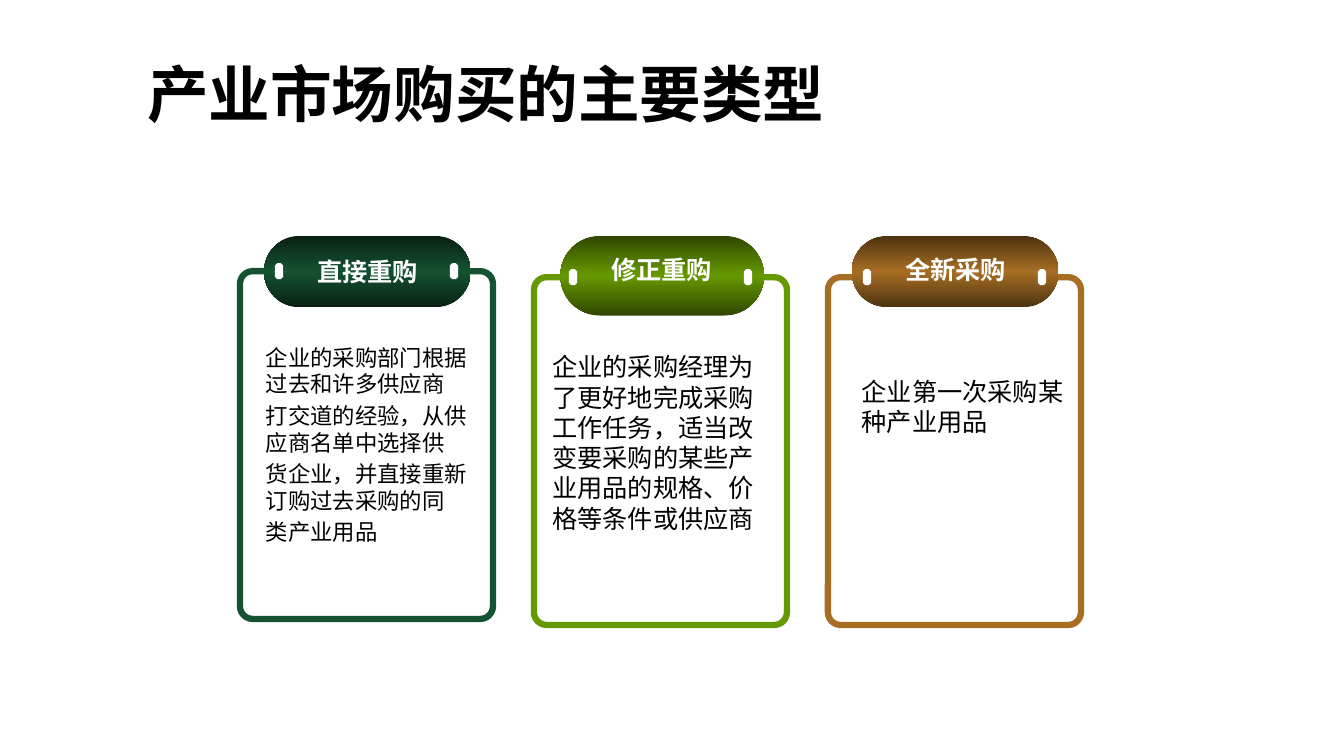
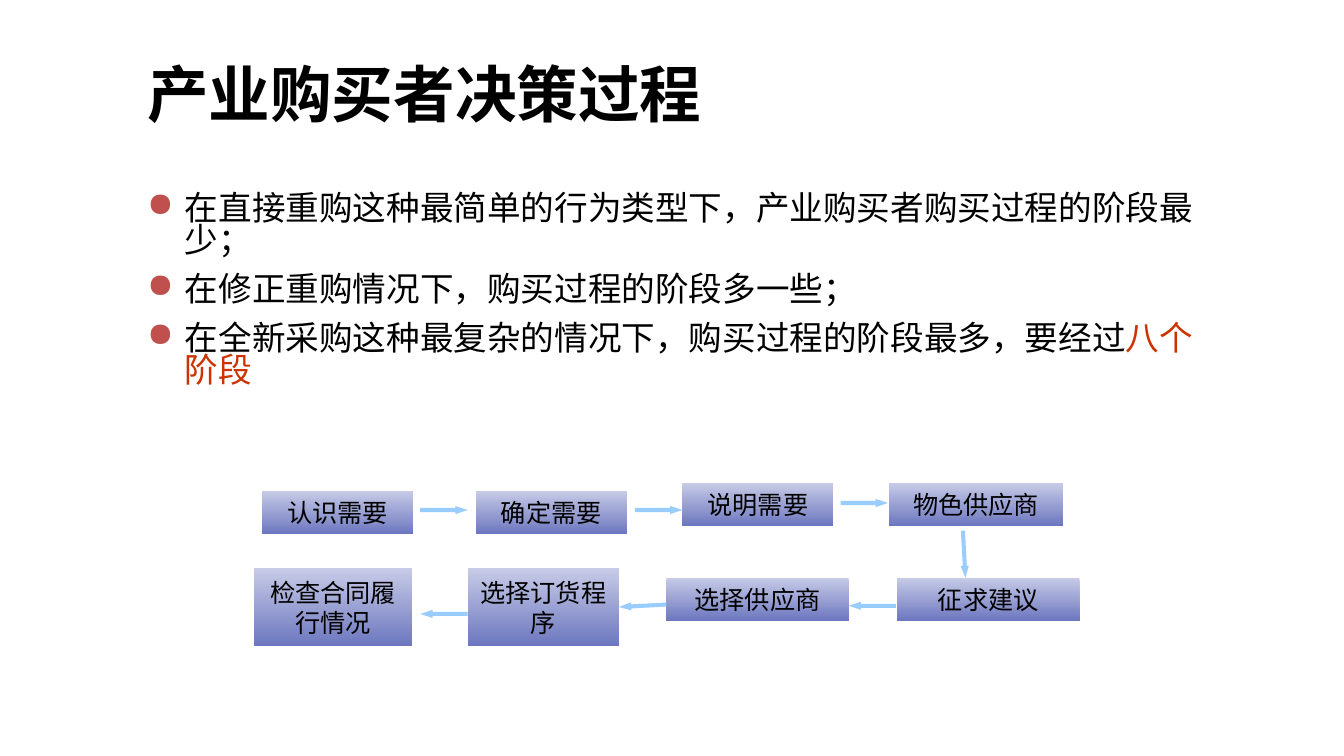
"""Build two slides on the types and stages of industrial purchasing."""
from lxml import etree
from pptx import Presentation
from pptx.dml.color import RGBColor
from pptx.enum import shapes, text
from pptx.oxml import ns
from pptx.util import Pt

COLORS = {
    "text": "000000", "white": "FFFFFF", "bullet": "C0504D", "accent": "CC3300",
    "arrow": "99CCFF", "step_top": "C7CBE7", "step_bottom": "6D77BF",
    "green": "145232", "green_dark": "082013",
    "lime": "669900", "lime_dark": "2F4700",
    "brown": "A76E23", "brown_dark": "4D3310",
}
BODY_FONT, TITLE_FONT = "Calibri", "Noto Sans CJK SC"
TITLE_BOX = (98, 21.6, 814, 90)

CARDS_TITLE = "产业市场购买的主要类型"
CARDS = [
    dict(name="直接重购", color="green", top=193.7, badge=(188.6, 147.6, 51), label_top=179.3,
         body=["企业的采购部门根据过去和许多供应商", "打交道的经验，从供应商名单中选择供",
               "货企业，并直接重新订购过去采购的同", "类产业用品"],
         body_box=(182.9, 241.9, 167.8, 176.4), size=16),
    dict(name="修正重购", color="lime", top=198, badge=(400.3, 145.4, 56.9), label_top=177.8,
         body=["企业的采购经理为了更好地完成采购工作任务，适当改变要采购的某些产业用品的规格、价格等条件或供应商"],
         body_box=(387.4, 247.7, 169.9, 162.7), size=18),
    dict(name="全新采购", color="brown", top=198, badge=(608.4, 147.6, 51), label_top=177.8,
         body=["企业第一次采购某种产业用品"],
         body_box=(608.4, 265, 167.8, 50.4), size=18),
]
CARD_LEFT, CARD_PITCH, CARD_WIDTH, CARD_HEIGHT = 171.4, 210, 180.7, 248.4
BADGE_TOP = 168.5
STUD_OFFSETS = (25, 150)

PROCESS_TITLE = "产业购买者决策过程"
BULLETS = [
    [("在直接重购这种最简单的行为类型下，产业购买者购买过程的阶段最少；", "text")],
    [("在修正重购情况下，购买过程的阶段多一些；", "text")],
    [("在全新采购这种最复杂的情况下，购买过程的阶段最多，要经过", "text"), ("八个阶段", "accent")],
]
BULLETS_BOX = (98, 135.4, 772.6, 152.6)
STEPS = [
    ("认识需要", (187.2, 350.6, 108, 31)),
    ("确定需要", (339.8, 350.6, 108, 31)),
    ("说明需要", (487.4, 344.9, 108, 31)),
    ("物色供应商", (635, 344.9, 124.6, 31)),
    ("征求建议", (640.8, 412.6, 130.3, 31)),
    ("选择供应商", (475.9, 412.6, 130.3, 31)),
    ("选择订货程序", (334.1, 406.1, 108, 55.4)),
    ("检查合同履行情况", (181.4, 406.1, 113, 55.4)),
]
ARROWS = [
    (300.2, 361.4, 0), (453.6, 361.4, 0), (600.5, 356.4, 0), (671.8, 393.1, 87),
    (606.2, 429.8, 180), (442.1, 429.8, 177), (300.2, 435.6, 180),
]
ARROW_SIZE = (33.8, 5.8)


def rgb(color):
    return RGBColor.from_string(COLORS[color])


def add_run(paragraph, words, size, color="text", font=BODY_FONT, bold=False):
    run = paragraph.add_run()
    run.text = words
    run.font.size = Pt(size)
    run.font.name = font
    run.font.bold = bold
    run.font.color.rgb = rgb(color)
    east_asian = etree.SubElement(run.font._element, ns.qn("a:ea"))
    east_asian.set("typeface", font)


def add_text_box(slide, box, wrap=True, anchor=text.MSO_ANCHOR.TOP):
    frame = slide.shapes.add_textbox(*map(Pt, box)).text_frame
    frame.word_wrap = wrap
    frame.vertical_anchor = anchor
    return frame


def add_paragraphs(frame, count):
    return [frame.paragraphs[0]] + [frame.add_paragraph() for _ in range(count - 1)]


def add_shape(slide, kind, box, fill=None, adjust=()):
    shape = slide.shapes.add_shape(kind, *map(Pt, box))
    shape.shadow.inherit = False
    shape.line.fill.background()
    if fill:
        shape.fill.solid()
        shape.fill.fore_color.rgb = rgb(fill)
    else:
        shape.fill.background()
    for index, value in enumerate(adjust):
        shape.adjustments[index] = value
    return shape


def set_gradient(shape, colors):
    """Spread the colours evenly from top to bottom."""
    shape.fill.gradient()
    shape.fill.gradient_angle = 270
    stops = shape._element.spPr.find(".//" + ns.qn("a:gsLst"))
    for stop in list(stops):
        stops.remove(stop)
    for index, color in enumerate(colors):
        stop = etree.SubElement(stops, ns.qn("a:gs"), pos=str(100000 * index // (len(colors) - 1)))
        etree.SubElement(stop, ns.qn("a:srgbClr"), val=COLORS[color])


def set_bullet(paragraph, indent):
    properties = paragraph._p.get_or_add_pPr()
    properties.set("marL", str(Pt(indent)))
    properties.set("indent", str(-Pt(indent)))
    color = etree.SubElement(properties, ns.qn("a:buClr"))
    etree.SubElement(color, ns.qn("a:srgbClr"), val=COLORS["bullet"])
    etree.SubElement(properties, ns.qn("a:buChar"), char="●")


def add_slide(presentation, title):
    slide = presentation.slides.add_slide(presentation.slide_layouts[6])
    frame = add_text_box(slide, TITLE_BOX, anchor=text.MSO_ANCHOR.MIDDLE)
    add_run(frame.paragraphs[0], title, 44, font=TITLE_FONT, bold=True)
    return slide


def add_card(slide, left, card):
    color, top = card["color"], card["top"]
    kinds = shapes.MSO_SHAPE
    outline = add_shape(slide, kinds.ROUNDED_RECTANGLE, (left, top, CARD_WIDTH, CARD_HEIGHT), adjust=[0.05])
    outline.line.color.rgb = rgb(color)
    outline.line.width = Pt(4.5)

    badge_left, badge_width, badge_height = card["badge"]
    badge = add_shape(slide, kinds.ROUNDED_RECTANGLE,
                      (badge_left, BADGE_TOP, badge_width, badge_height), adjust=[0.5])
    set_gradient(badge, [color + "_dark", color, color + "_dark"])
    for offset in STUD_OFFSETS:
        add_shape(slide, kinds.OCTAGON, (left + offset, top - 5.8, 5.8, 11.5), "white", [0.29])

    label = add_text_box(slide, (left + 48, card["label_top"], 86.4, 28.8), wrap=False).paragraphs[0]
    label.alignment = text.PP_ALIGN.CENTER
    add_run(label, card["name"], 18, "white", bold=True)

    frame = add_text_box(slide, card["body_box"])
    for paragraph, words in zip(add_paragraphs(frame, len(card["body"])), card["body"]):
        paragraph.space_before = Pt(card["size"] * 0.2)
        add_run(paragraph, words, card["size"])


def add_bullets(slide):
    frame = add_text_box(slide, BULLETS_BOX)
    for paragraph, runs in zip(add_paragraphs(frame, len(BULLETS)), BULLETS):
        paragraph.line_spacing = 0.8
        paragraph.space_before = Pt(12)
        set_bullet(paragraph, 27)
        for words, color in runs:
            add_run(paragraph, words, 24, color)


def add_step(slide, name, box):
    step = add_shape(slide, shapes.MSO_SHAPE.RECTANGLE, box)
    set_gradient(step, ["step_top", "step_bottom"])
    step.text_frame.word_wrap = True
    step.text_frame.vertical_anchor = text.MSO_ANCHOR.MIDDLE
    paragraph = step.text_frame.paragraphs[0]
    paragraph.alignment = text.PP_ALIGN.CENTER
    add_run(paragraph, name, 18)


def main():
    presentation = Presentation()
    presentation.slide_width, presentation.slide_height = Pt(960), Pt(540)

    cards_slide = add_slide(presentation, CARDS_TITLE)
    for index, card in enumerate(CARDS):
        add_card(cards_slide, CARD_LEFT + index * CARD_PITCH, card)

    process_slide = add_slide(presentation, PROCESS_TITLE)
    add_bullets(process_slide)
    for name, box in STEPS:
        add_step(process_slide, name, box)
    for left, top, angle in ARROWS:
        arrow = add_shape(process_slide, shapes.MSO_SHAPE.RIGHT_ARROW,
                          (left, top, *ARROW_SIZE), "arrow", [0.5, 1.5])
        arrow.rotation = angle

    presentation.save("out.pptx")


if __name__ == "__main__":
    main()
